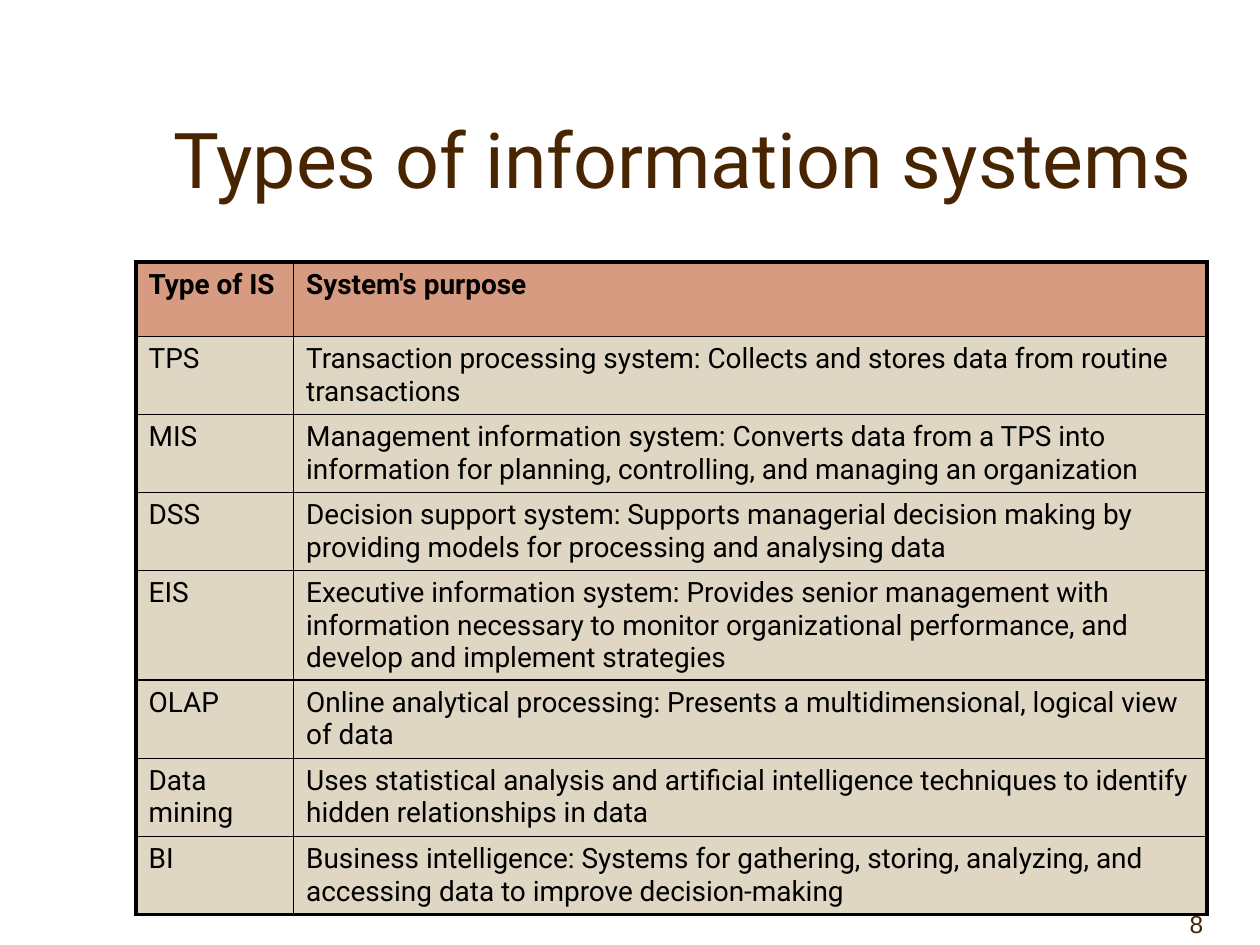
"""Build a slide with a table of information system types."""
from dataclasses import dataclass

from lxml.etree import SubElement
from pptx import Presentation
from pptx.dml.color import RGBColor
from pptx.enum.text import MSO_ANCHOR, PP_ALIGN
from pptx.oxml.ns import qn
from pptx.util import Inches, Pt


@dataclass(frozen=True)
class Theme:
    """Colours, fonts and sizes of the slide."""
    brown: str = "482400"
    black: str = "000000"
    header_fill: str = "D69B80"
    body_fill: str = "DFD6C3"
    font: str = "Roboto"
    number_font: str = "Arial"
    title_size: float = 44
    table_size: float = 16
    number_size: float = 14
    outer_border: float = 2.25
    inner_border: float = 1


THEME = Theme()
COLUMN_WIDTHS = (1.25, 7.25)
ROW_HEIGHTS = (0.59, 0.62, 0.62, 0.62, 0.87, 0.62, 0.62, 0.62)
ROWS = (
    ("Type of IS", "System's purpose"),
    ("TPS", "Transaction processing system: Collects and stores data from routine transactions"),
    ("MIS", "Management information system: Converts data from a TPS into information for "
            "planning, controlling, and managing an organization"),
    ("DSS", "Decision support system: Supports managerial decision making by providing models "
            "for processing and analysing data"),
    ("EIS", "Executive information system: Provides senior management with information necessary "
            "to monitor organizational performance, and develop and implement strategies"),
    ("OLAP", "Online analytical processing: Presents a multidimensional, logical view of data"),
    ("Data mining", "Uses statistical analysis and artificial intelligence techniques to identify "
                    "hidden relationships in data"),
    ("BI", "Business intelligence: Systems for gathering, storing, analyzing, and accessing data "
           "to improve decision-making"),
)


def style_font(font, name, size, color, bold=False):
    """Set the face, size, colour and weight of a font."""
    font.name = name
    font.size = Pt(size)
    font.bold = bold
    font.color.rgb = RGBColor.from_string(color)


def add_text(slide, text, box, font_name, size, alignment, margin_right=0.1):
    """Add a bottom-anchored line of brown text."""
    frame = slide.shapes.add_textbox(*map(Inches, box)).text_frame
    frame.word_wrap = True
    frame.vertical_anchor = MSO_ANCHOR.BOTTOM
    frame.margin_right = Inches(margin_right)
    paragraph = frame.paragraphs[0]
    paragraph.text = text
    paragraph.alignment = alignment
    style_font(paragraph.font, font_name, size, THEME.brown)


def set_borders(cell, outer_sides):
    """Draw the four cell borders, thicker on the outer sides of the table."""
    properties = cell._tc.get_or_add_tcPr()
    for position, side in enumerate(("L", "R", "T", "B")):
        width = THEME.outer_border if side in outer_sides else THEME.inner_border
        line = SubElement(properties, qn(f"a:ln{side}"), w=str(Pt(width)))
        fill = SubElement(line, qn("a:solidFill"))
        SubElement(fill, qn("a:srgbClr"), val=THEME.black)
        properties.remove(line)
        properties.insert(position, line)


def fill_cell(cell, text, is_header, outer_sides):
    """Write and format one table cell."""
    cell.fill.solid()
    color = THEME.header_fill if is_header else THEME.body_fill
    cell.fill.fore_color.rgb = RGBColor.from_string(color)
    cell.margin_bottom = Inches(0.02)
    paragraph = cell.text_frame.paragraphs[0]
    paragraph.text = text
    style_font(paragraph.font, THEME.font, THEME.table_size, THEME.black, is_header)
    set_borders(cell, outer_sides)


def add_systems_table(slide, left, top):
    """Add the table of systems and their purposes."""
    size = (sum(COLUMN_WIDTHS), sum(ROW_HEIGHTS))
    table = slide.shapes.add_table(
        len(ROWS), len(COLUMN_WIDTHS), *map(Inches, (left, top, *size))).table
    table.horz_banding = False
    for column, width in zip(table.columns, COLUMN_WIDTHS):
        column.width = Inches(width)
    for row_index, texts in enumerate(ROWS):
        table.rows[row_index].height = Inches(ROW_HEIGHTS[row_index])
        vertical = {0: "T", len(ROWS) - 1: "B"}.get(row_index, "")
        for column_index, text in enumerate(texts):
            fill_cell(table.cell(row_index, column_index), text, row_index == 0,
                      vertical + "LR"[column_index])


def main():
    """Build and save the slide."""
    presentation = Presentation()
    presentation.slide_width = Inches(10)
    presentation.slide_height = Inches(7.5)
    slide = presentation.slides.add_slide(presentation.slide_layouts[6])
    add_text(slide, "Types of information systems", (1.17, 0.42, 8.5, 1.25),
             THEME.font, THEME.title_size, PP_ALIGN.CENTER)
    add_systems_table(slide, 1.08, 2.08)
    add_text(slide, "8", (9, 7, 1, 0.5), THEME.number_font, THEME.number_size,
             PP_ALIGN.RIGHT, margin_right=0.45)
    presentation.save("out.pptx")


if __name__ == "__main__":
    main()
